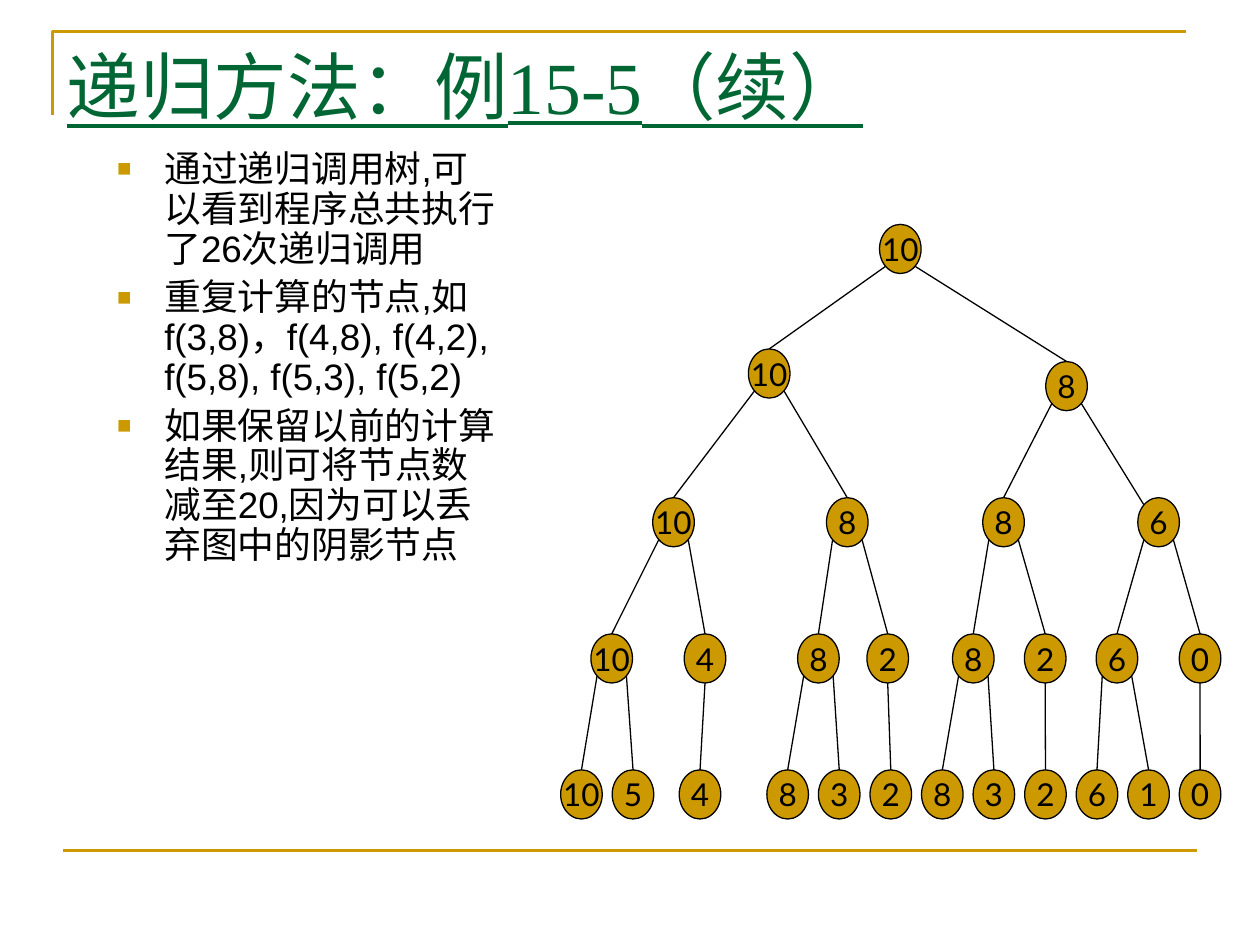
from dataclasses import dataclass
from math import sqrt

from lxml import etree
from pptx import Presentation
from pptx.dml.color import RGBColor
from pptx.enum import shapes, text
from pptx.oxml import ns
from pptx.util import Pt

GOLD, GREEN, BLACK = "CC9900", "006633", "000000"
NODE_W, NODE_H = 23.76, 28.08
LEVEL_TOPS = [128.2, 199.4, 284.4, 362.2, 439.9]
LEAF_LEFT, LEAF_STEP = 320.4, 29.46


def colour(hex_value):
    return RGBColor.from_string(hex_value)


def set_values(target, values):
    for name, value in values.items():
        setattr(target, name, value)


@dataclass
class Call:
    """One call in the recursion tree."""
    label: str
    left: float
    children: tuple = ()
    drop: float = 0              # extra distance below its level
    side_entry: bool = False     # edge from the parent meets the upper left


def leaf(label, slot):
    return Call(label, LEAF_LEFT + slot * LEAF_STEP)


class SlideBuilder:
    def __init__(self, slide):
        self.slide = slide
        self.shapes = slide.shapes

    def set_line(self, line, hex_value, width):
        line.color.rgb = colour(hex_value)
        line.width = Pt(width)

    def add_text(self, paragraph, content, font, size, hex_value, **extra):
        run = paragraph.add_run()
        run.text = content
        set_values(run.font, {"name": font, "size": Pt(size), **extra})
        run.font.color.rgb = colour(hex_value)

    def text_box(self, left, top, width, height):
        frame = self.shapes.add_textbox(*map(Pt, (left, top, width, height))).text_frame
        set_values(frame, {"word_wrap": True, "vertical_anchor": text.MSO_ANCHOR.TOP})
        return frame

    def bullet(self, paragraph):
        properties = paragraph._p.get_or_add_pPr()
        properties.set("marL", str(Pt(27)))
        properties.set("indent", str(Pt(-27)))
        bullet_colour = etree.SubElement(properties, ns.qn("a:buClr"))
        etree.SubElement(bullet_colour, ns.qn("a:srgbClr"), val=GOLD)
        etree.SubElement(properties, ns.qn("a:buSzPct"), val="65000")
        etree.SubElement(properties, ns.qn("a:buFont"), typeface="Arial")
        etree.SubElement(properties, ns.qn("a:buChar"), char="■")

    def bullets(self, box, items):
        frame = self.text_box(*box)
        for index, item in enumerate(items):
            paragraph = frame.add_paragraph() if index else frame.paragraphs[0]
            self.bullet(paragraph)
            set_values(paragraph, {"line_spacing": 0.9,
                                   "space_before": Pt(5.2 if index else 0)})
            self.add_text(paragraph, item, "Arial", 21, BLACK)

    def outline(self, points, hex_value, width):
        start, *rest = [(Pt(x), Pt(y)) for x, y in points]
        builder = self.shapes.build_freeform(*start)
        builder.add_line_segments(rest, close=False)
        shape = builder.convert_to_shape()
        shape.shadow.inherit = False
        shape.fill.background()
        self.set_line(shape.line, hex_value, width)

    def connector(self, start, end, hex_value=BLACK, width=0.75):
        line = self.shapes.add_connector(
            shapes.MSO_CONNECTOR.STRAIGHT, *map(Pt, (*start, *end)))
        self.set_line(line.line, hex_value, width)
        etree.SubElement(line._element.spPr, ns.qn("a:effectLst"))
        return line

    def node(self, label, left, top):
        oval = self.shapes.add_shape(
            shapes.MSO_SHAPE.OVAL, *map(Pt, (left, top, NODE_W, NODE_H)))
        oval.shadow.inherit = False
        oval.fill.solid()
        oval.fill.fore_color.rgb = colour(GOLD)
        self.set_line(oval.line, BLACK, 0.75)
        frame = oval.text_frame
        set_values(frame, {"margin_left": 0, "margin_right": 0, "margin_top": 0,
                           "margin_bottom": 0, "word_wrap": False,
                           "vertical_anchor": text.MSO_ANCHOR.MIDDLE})
        paragraph = frame.paragraphs[0]
        paragraph.alignment = text.PP_ALIGN.CENTER
        self.add_text(paragraph, label, "Lato", 18, BLACK)
        return oval

    def tree(self, call, level=0):
        """Draw a call and everything below it; return its oval."""
        top = LEVEL_TOPS[level] + call.drop
        oval = self.node(call.label, call.left, top)
        x, y = call.left + NODE_W / 2, top + NODE_H / 2
        dx, dy = NODE_W / 2 / sqrt(2), NODE_H / 2 / sqrt(2)
        # Two children leave from the lower corners, one from the bottom
        exits = [(x - dx, y + dy), (x + dx, y + dy)]
        if len(call.children) == 1:
            exits = [(x, top + NODE_H)]
        for start, child in zip(exits, call.children):
            child_oval = self.tree(child, level + 1)
            child_x = child.left + NODE_W / 2
            child_top = LEVEL_TOPS[level + 1] + child.drop
            if child.side_entry:
                self.connector(start, (child_x - dx, child_top + NODE_H / 2 - dy))
            else:
                self.connector(start, (child_x, child_top)).end_connect(child_oval, 0)
        return oval


def main():
    deck = Presentation()
    set_values(deck, {"slide_width": Pt(720), "slide_height": Pt(540)})
    page = SlideBuilder(deck.slides.add_slide(deck.slide_layouts[6]))

    # Frame rules
    page.outline([(30, 66), (30, 18), (678, 18)], GOLD, 1.5)
    page.connector((36, 486), (684, 486), GOLD, 1.5)

    # Title
    title = page.text_box(31, 20, 648, 49.7)
    page.add_text(title.paragraphs[0], "递归方法：例15-5（续）", "Times New Roman", 42,
                  GREEN, underline=True)

    # Explanation
    page.bullets((59.8, 82.8, 232.6, 408), [
        "通过递归调用树,可以看到程序总共执行了26次递归调用",
        "重复计算的节点,如f(3,8)，f(4,8), f(4,2), f(5,8), f(5,3), f(5,2)",
        "如果保留以前的计算结果,则可将节点数减至20,因为可以丢弃图中的阴影节点",
    ])

    # Recursion tree
    left_half = Call("10", 427.7, (
        Call("10", 373, (
            Call("10", 337.7, (leaf("10", 0), leaf("5", 1))),
            Call("4", 391, (leaf("4", 2.3),)))),
        Call("8", 472.3, (
            Call("8", 455.8, (leaf("8", 4), leaf("3", 5))),
            Call("2", 495.4, (leaf("2", 6),))))))
    right_half = Call("8", 597.6, (
        Call("8", 561.6, (
            Call("8", 544.3, (leaf("8", 7), leaf("3", 8))),
            Call("2", 585.4, (leaf("2", 9),)))),
        Call("6", 650.2, (
            Call("6", 626.4, (leaf("6", 10), leaf("1", 11))),
            Call("0", 673.9, (leaf("0", 12),))), side_entry=True)), drop=7.2)
    page.tree(Call("10", 502.6, (left_half, right_half)))

    deck.save("out.pptx")


if __name__ == "__main__":
    main()
